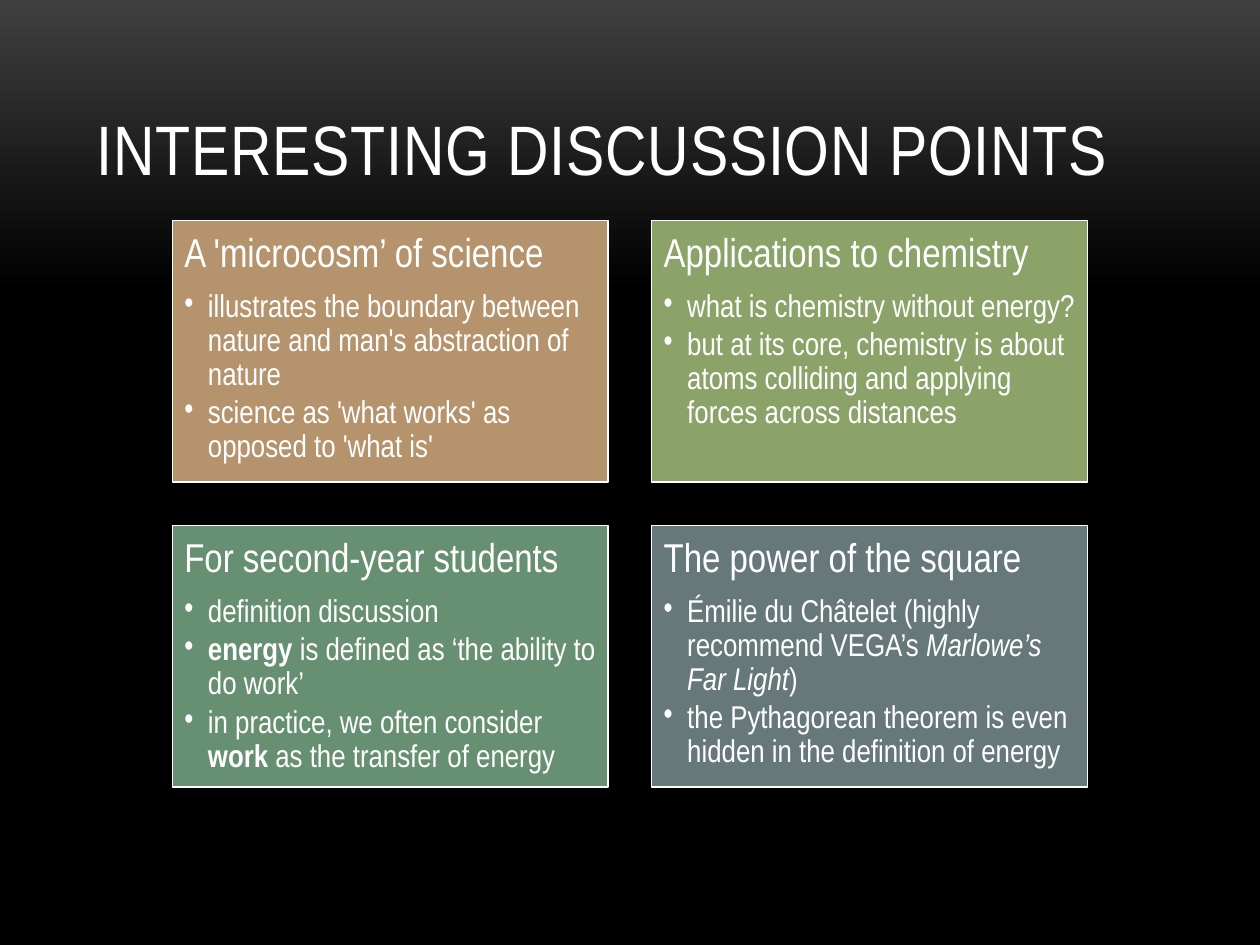
import copy

import pptx
import pptx.dml.color
import pptx.enum.shapes
import pptx.enum.text
import pptx.oxml.ns
import pptx.util
from lxml import etree

Pt = pptx.util.Pt
qn = pptx.oxml.ns.qn

FONT = "Arial Narrow"
WHITE = "FFFFFF"
SLIDE_WIDTH, SLIDE_HEIGHT = 720, 540

# Two-by-two grid of panels, centred across the slide
COLUMNS = 2
PANEL_WIDTH = 249
PANEL_HEIGHT = PANEL_WIDTH * 0.6
PANEL_MARGIN = 6.8
GAP = PANEL_WIDTH * 0.1
GRID_TOP = 126
GRID_LEFT = (SLIDE_WIDTH - COLUMNS * PANEL_WIDTH - GAP) / 2
BULLET_INDENT = 13.5

# Each panel: fill, heading, bullets; a bullet is a list of (text, style)
PANELS = [
    ("B4936D", "A 'microcosm’ of science", [
        [("illustrates the boundary between nature and man's abstraction of nature", "")],
        [("science as 'what works' as opposed to 'what is'", "")],
    ]),
    ("8BA369", "Applications to chemistry", [
        [("what is chemistry without energy?", "")],
        [("but at its core, chemistry is about atoms colliding and applying "
          "forces across distances", "")],
    ]),
    ("679072", "For second-year students", [
        [("definition discussion", "")],
        [("energy", "bold"), (" is defined as ‘the ability to do work’", "")],
        [("in practice, we often consider ", ""), ("work", "bold"),
         (" as the transfer of energy", "")],
    ]),
    ("67787B", "The power of the square", [
        [("Émilie du Châtelet (highly recommend VEGA’s ", ""),
         ("Marlowe’s Far Light", "italic"), (")", "")],
        [("the Pythagorean theorem is even hidden in the definition of energy", "")],
    ]),
]


def rgb(hex_color):
    return pptx.dml.color.RGBColor.from_string(hex_color)


def format_run(run, size, style=""):
    run.font.name = FONT
    run.font.size = Pt(size)
    run.font.color.rgb = rgb(WHITE)
    if style == "bold":
        run.font.bold = True
    elif style == "italic":
        run.font.italic = True


def format_paragraph(paragraph, space_after):
    paragraph.alignment = pptx.enum.text.PP_ALIGN.LEFT
    paragraph.line_spacing = 0.9
    paragraph.space_after = Pt(space_after)


def set_background(slide):
    fill = slide.background.fill
    fill.gradient()
    fill.gradient_angle = 270
    top, black = fill.gradient_stops
    top.color.rgb = rgb("3F3F3F")
    top.position = 0
    black.color.rgb = rgb("000000")
    black.position = 0.31
    # Third stop keeps the lower part black
    stops = slide.element.find(".//" + qn("a:gsLst"))
    last = copy.deepcopy(stops[-1])
    last.set("pos", "100000")
    stops.append(last)


def add_title(slide, text):
    title = slide.shapes.add_textbox(Pt(48), Pt(21.6), Pt(624), Pt(90))
    frame = title.text_frame
    frame.word_wrap = True
    frame.vertical_anchor = pptx.enum.text.MSO_ANCHOR.BOTTOM
    frame.text = text
    format_run(frame.paragraphs[0].runs[0], 40)
    # Letter spacing of half a point
    title.element.find(".//" + qn("a:rPr")).set("spc", "50")


def add_bullet(frame, parts):
    bullet = frame.add_paragraph()
    bullet.level = 1
    format_paragraph(bullet, 2.7)
    for text, style in parts:
        run = bullet.add_run()
        run.text = text
        format_run(run, 18, style)
    # Hanging indent and bullet sign
    properties = bullet._p.get_or_add_pPr()
    properties.set("marL", str(Pt(BULLET_INDENT)))
    properties.set("indent", str(-Pt(BULLET_INDENT)))
    etree.SubElement(properties, qn("a:buFont")).set("typeface", FONT)
    etree.SubElement(properties, qn("a:buChar")).set("char", "•")


def add_panel(slide, left, top, color, heading, bullets):
    panel = slide.shapes.add_shape(
        pptx.enum.shapes.MSO_SHAPE.RECTANGLE,
        Pt(left), Pt(top), Pt(PANEL_WIDTH), Pt(PANEL_HEIGHT))
    panel.shadow.inherit = False
    panel.fill.solid()
    panel.fill.fore_color.rgb = rgb(color)
    panel.line.color.rgb = rgb(WHITE)
    panel.line.width = Pt(0.85)

    frame = panel.text_frame
    frame.word_wrap = True
    frame.vertical_anchor = pptx.enum.text.MSO_ANCHOR.TOP
    frame.margin_left = frame.margin_right = Pt(PANEL_MARGIN)
    frame.margin_top = frame.margin_bottom = Pt(PANEL_MARGIN)
    frame.text = heading
    format_paragraph(frame.paragraphs[0], 8)
    format_run(frame.paragraphs[0].runs[0], 23)
    for parts in bullets:
        add_bullet(frame, parts)


def main():
    presentation = pptx.Presentation()
    presentation.slide_width = Pt(SLIDE_WIDTH)
    presentation.slide_height = Pt(SLIDE_HEIGHT)
    slide = presentation.slides.add_slide(presentation.slide_layouts[6])

    set_background(slide)
    add_title(slide, "INTERESTING DISCUSSION POINTS")
    for index, panel in enumerate(PANELS):
        row, column = divmod(index, COLUMNS)
        left = GRID_LEFT + column * (PANEL_WIDTH + GAP)
        top = GRID_TOP + row * (PANEL_HEIGHT + GAP)
        add_panel(slide, left, top, *panel)

    presentation.save("out.pptx")


if __name__ == "__main__":
    main()
